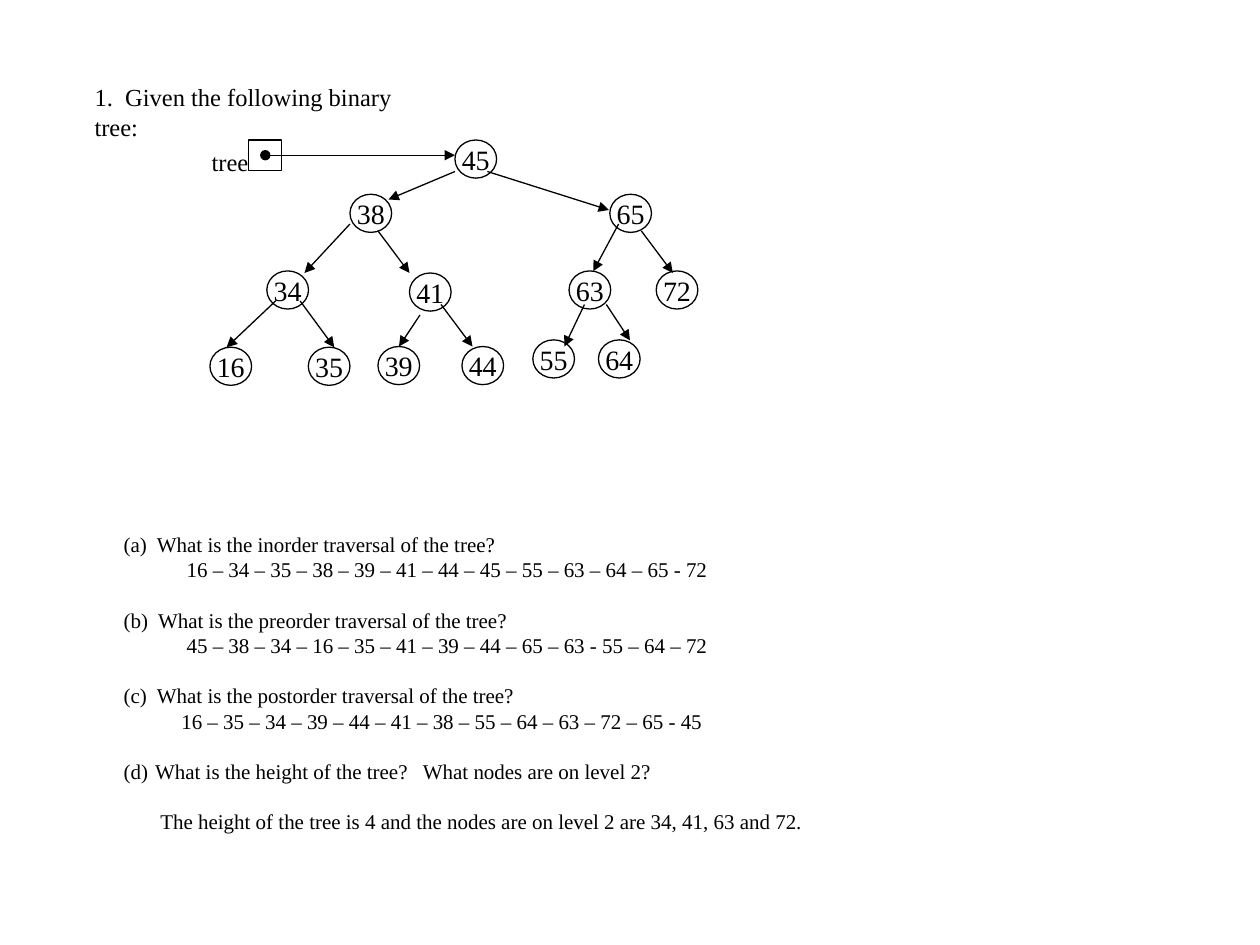
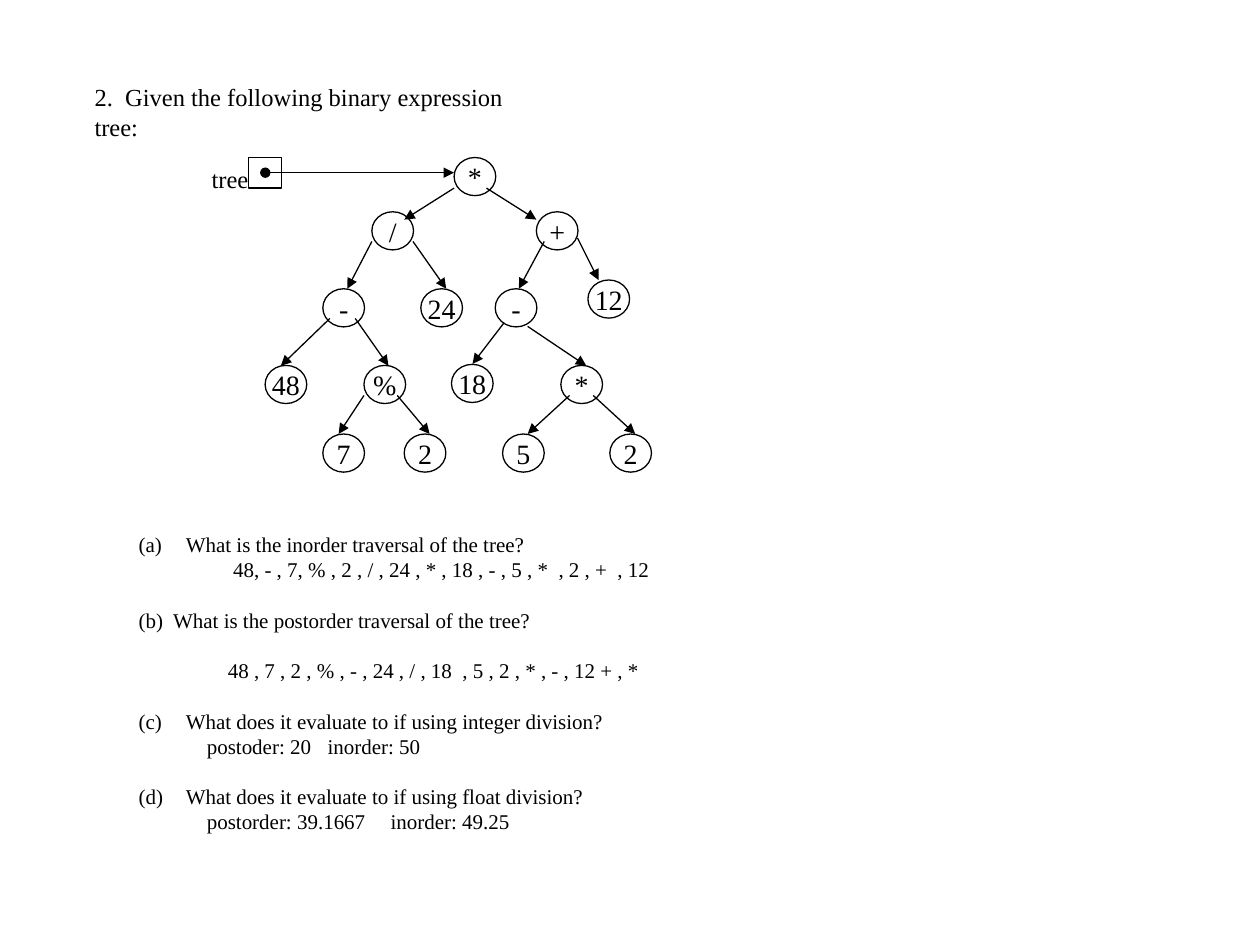
from lxml.etree import SubElement
from pptx import Presentation
from pptx.dml.color import RGBColor
from pptx.enum.shapes import MSO_CONNECTOR, MSO_SHAPE
from pptx.enum.text import MSO_ANCHOR, MSO_AUTO_SIZE, PP_ALIGN
from pptx.oxml.ns import qn
from pptx.util import Pt

COLORS = {"ink": "000000", "paper": "FFFFFF"}
FONT = "Times New Roman"
NODE_SIZE = (23.8, 21.8)
POINTER_SIZE = (18.8, 17.4)
POINTER_LEFT = 142.2
LABEL_LEFT = 113.8
BODY_TOP = 300.2
BODY_LINE = 14.4

FRAME = {"word_wrap": True, "auto_size": MSO_AUTO_SIZE.NONE, "vertical_anchor": MSO_ANCHOR.TOP}
LABEL_FRAME = {**FRAME, "word_wrap": False}
NODE_FRAME = {
    "word_wrap": False, "vertical_anchor": MSO_ANCHOR.MIDDLE,
    "margin_left": 0, "margin_right": 0, "margin_top": 0, "margin_bottom": 0,
}
HEADING = {"alignment": PP_ALIGN.LEFT, "line_spacing": Pt(17.1), "space_before": Pt(0)}
BODY = {"alignment": PP_ALIGN.LEFT, "line_spacing": Pt(BODY_LINE), "space_after": Pt(0)}
CENTERED = {"alignment": PP_ALIGN.CENTER}

SLIDES = [
    {
        "title": "1.  Given the following binary tree:",
        "title_width": 209,
        "body": (63.4, 408, 197),
        "lines": [
            {"text": "(a)  What is the inorder traversal of the tree?"},
            {"text": "16 – 34 – 35 – 38 – 39 – 41 – 44 – 45 – 55 – 63 – 64 – 65 - 72", "indent": 36},
            {"text": "(b)  What is the preorder traversal of the tree?", "gap": 1},
            {"text": "45 – 38 – 34 – 16 – 35 – 41 – 39 – 44 – 65 – 63 - 55 – 64 – 72", "indent": 36},
            {"text": "(c)  What is the postorder traversal of the tree?", "gap": 1},
            {"text": "16 – 35 – 34 – 39 – 44 – 41 – 38 – 55 – 64 – 63 – 72 – 65 - 45", "indent": 33},
            {"text": "What is the height of the tree?   What nodes are on level 2?",
             "gap": 1, "number": 4, "hang": 18},
            {"text": "The height of the tree is 4 and the nodes are on level 2 are 34, 41, 63 and 72.",
             "gap": 1, "indent": 21},
        ],
        "nodes": [
            ("45", 260, 80), ("38", 200, 111), ("65", 348.5, 111), ("34", 152.5, 154.8),
            ("41", 234, 156), ("63", 325.2, 154.8), ("72", 375, 154.8), ("16", 120, 198.4),
            ("35", 176.2, 198.4), ("39", 216, 198), ("44", 264, 198), ("55", 304.5, 194.2),
            ("64", 342, 194.2),
        ],
        "edges": [
            (260, 98, 222, 114), (278.5, 98, 348, 120), (200, 128, 174, 156),
            (216, 132, 234, 156), (353.5, 128, 339, 155), (366.5, 132, 384.5, 156),
            (157.5, 172, 129.5, 198.5), (171.5, 172, 191, 198.5), (240, 180, 228, 198),
            (252, 174, 270, 198), (334, 174, 322.5, 198), (346.5, 174, 360, 194.5),
        ],
    },
    {
        "title": "2.  Given the following binary expression tree:",
        "title_width": 273,
        "body": (72, 310, 211),
        "lines": [
            {"text": "What is the inorder traversal of the tree?", "number": 1, "hang": 27},
            {"text": "48, - , 7, % , 2 , / , 24 , * , 18 , - , 5 , *  , 2 , +  , 12", "indent": 54},
            {"text": "(b)  What is the postorder traversal of the tree?", "gap": 1},
            {"text": "48 , 7 , 2 , % , - , 24 , / , 18  , 5 , 2 , * , - , 12 + , *", "gap": 1, "indent": 51},
            {"text": "What does it evaluate to if using integer division?",
             "gap": 1, "number": 3, "hang": 27},
            {"text": "postoder: 20\tinorder: 50", "indent": 39, "tab": 177},
            {"text": "What does it evaluate to if using float division?",
             "gap": 1, "number": 4, "hang": 27},
            {"text": "postorder: 39.1667\tinorder: 49.25", "indent": 39, "tab": 177},
        ],
        "nodes": [
            ("*", 259.5, 90), ("/", 212.5, 121), ("+", 306.5, 121), ("-", 184.5, 165),
            ("24", 240.5, 165), ("-", 283, 165), ("12", 336, 160), ("48", 151.5, 208.8),
            ("%", 208, 208.8), ("18", 258, 208.2), ("*", 320.5, 208.8), ("7", 184.5, 248),
            ("2", 231, 248), ("5", 287.2, 248), ("2", 348.5, 248),
        ],
        "edges": [
            (259.5, 107.5, 231, 125.5), (278, 107.5, 306.5, 125.5), (212.5, 138, 198.5, 165),
            (236, 138, 255, 165), (311, 138, 296.5, 165), (330, 136, 342, 160),
            (188.5, 182, 160.5, 209), (203, 182, 222, 209), (288, 184.5, 270, 208),
            (301.5, 186.5, 335, 209), (208, 226, 193.5, 248), (227, 226, 245.5, 248),
            (325.5, 226, 301.5, 248), (339, 226, 363, 248),
        ],
    },
]


def color(name):
    return RGBColor.from_string(COLORS[name])


def apply(target, values):
    for name, value in values.items():
        setattr(target, name, value)


def place(shape, left, top, width, height):
    apply(shape, {"left": Pt(left), "top": Pt(top), "width": Pt(width), "height": Pt(height)})


def write(para, text, size, values):
    span = para.add_run()
    span.text = text
    apply(span.font, {"name": FONT, "size": Pt(size)})
    span.font.color.rgb = color("ink")
    apply(para, values)


def outline(shape):
    shape.line.color.rgb = color("ink")
    shape.line.width = Pt(0.75)


def add_outlined(shapes, kind, left, top, size):
    shape = shapes.add_shape(kind, Pt(left), Pt(top), Pt(size[0]), Pt(size[1]))
    shape.shadow.inherit = False
    shape.fill.background()
    outline(shape)
    return shape


def add_arrow(shapes, ends, head=None):
    arrow = shapes.add_connector(MSO_CONNECTOR.STRAIGHT, *[Pt(value) for value in ends])
    outline(arrow)
    properties = arrow.element.spPr
    line = properties.find(qn("a:ln"))
    if head:
        SubElement(line, qn("a:headEnd"), type=head)
    SubElement(line, qn("a:tailEnd"), type="triangle")
    SubElement(properties, qn("a:effectLst"))


def add_line(para, line):
    gap = Pt(line.get("gap", 0) * BODY_LINE)
    write(para, line["text"], 12, {**BODY, "space_before": gap})
    hang = line.get("hang", 0)
    properties = para._p.get_or_add_pPr()
    properties.set("marL", str(Pt(hang)))
    properties.set("indent", str(Pt(line.get("indent", -hang))))
    if "number" in line:
        SubElement(properties, qn("a:buFont"), typeface=FONT)
        SubElement(properties, qn("a:buAutoNum"), type="alphaLcParenBoth", startAt=str(line["number"]))
    else:
        SubElement(properties, qn("a:buNone"))
    if "tab" in line:
        stops = SubElement(properties, qn("a:tabLst"))
        SubElement(stops, qn("a:tab"), pos=str(Pt(line["tab"])), algn="l")


def add_tree(page, nodes, edges):
    shapes = page.shapes.add_group_shape().shapes
    for text, left, top in nodes:
        node = add_outlined(shapes, MSO_SHAPE.OVAL, left, top, NODE_SIZE)
        apply(node.text_frame, NODE_FRAME)
        write(node.text_frame.paragraphs[0], text, 16, CENTERED)
    for ends in edges:
        add_arrow(shapes, ends)
    root_left, root_top = nodes[0][1:]
    add_outlined(shapes, MSO_SHAPE.RECTANGLE, POINTER_LEFT, root_top, POINTER_SIZE)
    label = shapes.add_textbox(Pt(LABEL_LEFT), Pt(root_top), Pt(35.3), Pt(23.8))
    apply(label.text_frame, LABEL_FRAME)
    write(label.text_frame.paragraphs[0], "tree", 14, HEADING)
    middle = root_top + POINTER_SIZE[1] / 2
    add_arrow(shapes, (POINTER_LEFT + POINTER_SIZE[0] / 2, middle, root_left, middle), "oval")


def add_page(deck, content):
    page = deck.slides.add_slide(deck.slide_layouts[1])
    page.background.fill.solid()
    page.background.fill.fore_color.rgb = color("paper")
    title, body = page.shapes.title, page.placeholders[1]
    place(title, 46.8, 43.2, content["title_width"], 23.8)
    apply(title.text_frame, FRAME)
    write(title.text_frame.paragraphs[0], content["title"], 14, HEADING)
    left, width, height = content["body"]
    place(body, left, BODY_TOP, width, height)
    apply(body.text_frame, FRAME)
    for index, line in enumerate(content["lines"]):
        frame = body.text_frame
        add_line(frame.add_paragraph() if index else frame.paragraphs[0], line)
    add_tree(page, content["nodes"], content["edges"])


deck = Presentation()
apply(deck, {"slide_width": Pt(720), "slide_height": Pt(540)})
for content in SLIDES:
    add_page(deck, content)
deck.save("out.pptx")
